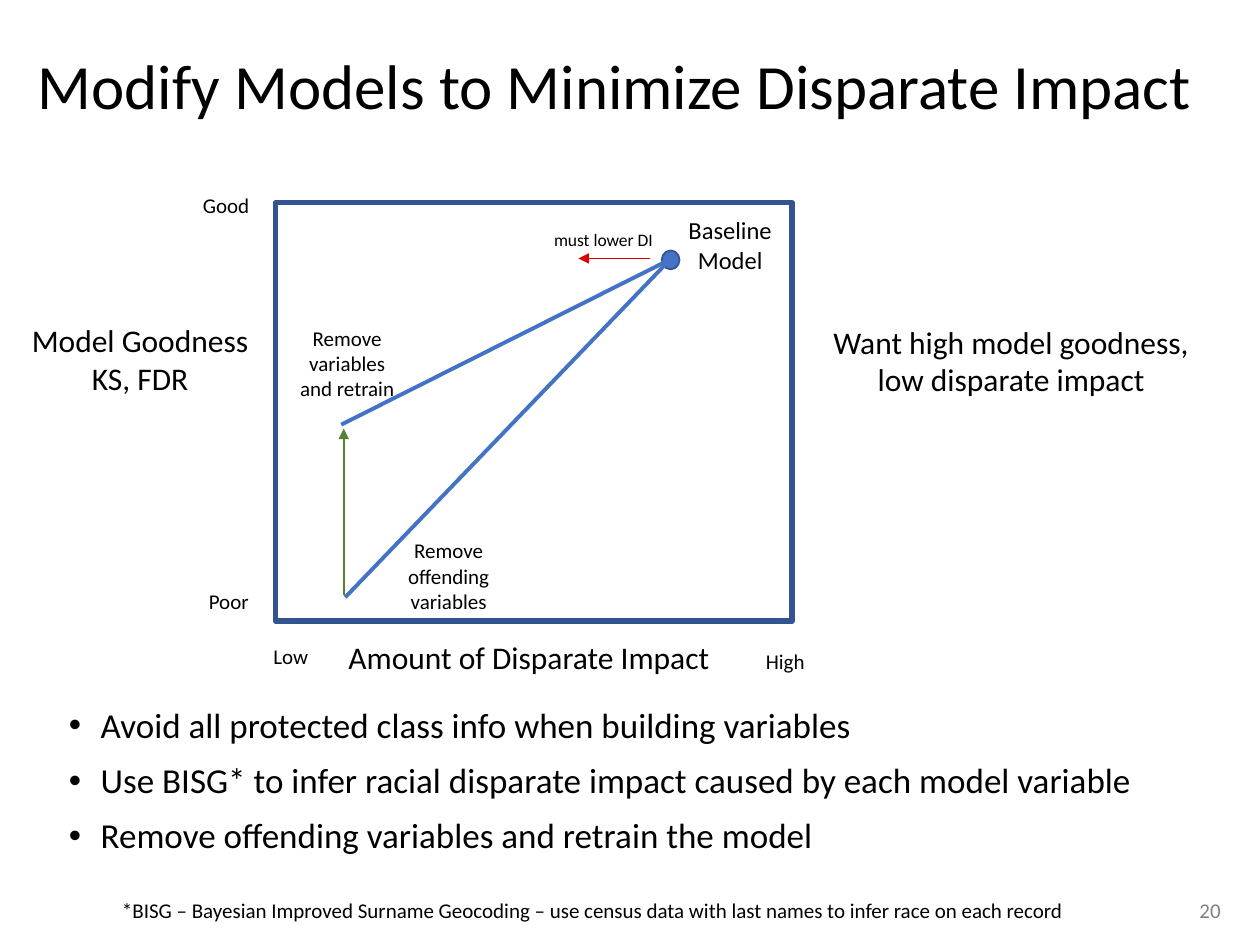
from dataclasses import dataclass

from lxml.etree import SubElement
from pptx import Presentation
from pptx.dml.color import RGBColor
from pptx.enum.shapes import MSO_CONNECTOR, MSO_SHAPE
from pptx.enum.text import MSO_ANCHOR, PP_ALIGN
from pptx.oxml.ns import qn
from pptx.util import Cm, Pt


@dataclass(frozen=True)
class Theme:
    font: str = "Calibri"
    text: str = "000000"
    muted: str = "808080"
    frame: str = "325491"
    model: str = "4472C4"
    lower: str = "DD0002"
    improve: str = "548235"
    title: int = 36
    bullet: int = 20
    axis: int = 18
    baseline: int = 14
    label: int = 12
    small: int = 10


THEME = Theme()


def add_text(slide, box, lines, size, align=PP_ALIGN.LEFT, wrap=True,
             anchor=MSO_ANCHOR.TOP, color=THEME.text):
    """Add a text box with one paragraph per line and return its paragraphs."""
    frame = slide.shapes.add_textbox(*map(Cm, box)).text_frame
    frame.word_wrap = wrap
    frame.vertical_anchor = anchor
    frame.text = "\n".join(lines)
    for paragraph in frame.paragraphs:
        paragraph.alignment = align
        paragraph.font.name = THEME.font
        paragraph.font.size = Pt(size)
        paragraph.font.color.rgb = RGBColor.from_string(color)
    return frame.paragraphs


def add_bullets(slide, box, lines):
    for paragraph in add_text(slide, box, lines, THEME.bullet):
        paragraph.line_spacing = 0.9
        paragraph.space_before = Pt(10)
        properties = paragraph._p.get_or_add_pPr()
        properties.set("marL", str(Cm(0.64)))
        properties.set("indent", str(-Cm(0.64)))
        SubElement(properties, qn("a:buFont"), typeface="Arial")
        SubElement(properties, qn("a:buChar"), char="•")


def add_outline(slide, kind, box, width, fill=None):
    shape = slide.shapes.add_shape(kind, *map(Cm, box))
    shape.shadow.inherit = False
    if fill:
        shape.fill.solid()
        shape.fill.fore_color.rgb = RGBColor.from_string(fill)
    else:
        shape.fill.background()
    shape.line.color.rgb = RGBColor.from_string(THEME.frame)
    shape.line.width = Pt(width)


def add_line(slide, start, end, color, width, arrow=False):
    line = slide.shapes.add_connector(
        MSO_CONNECTOR.STRAIGHT, *map(Cm, start + end))
    line.line.color.rgb = RGBColor.from_string(color)
    line.line.width = Pt(width)
    if arrow:
        SubElement(line.line._get_or_add_ln(), qn("a:tailEnd"), type="triangle")
    SubElement(line._element.spPr, qn("a:effectLst"))


def add_diagram(slide):
    # Plot frame and the two routes away from the baseline model
    baseline = (13.51, 5.23)
    add_outline(slide, MSO_SHAPE.RECTANGLE, (5.56, 4.09, 10.41, 8.43), 3)
    add_outline(slide, MSO_SHAPE.OVAL, (13.34, 5.05, 0.36, 0.38), 1, THEME.model)
    for outcome in ((6.96, 12.04), (6.88, 8.56)):
        add_line(slide, baseline, outcome, THEME.model, 2.25)

    # Direction arrows
    add_line(slide, (13.11, 5.21), (11.66, 5.21), THEME.lower, 0.5, arrow=True)
    add_line(slide, (6.93, 11.99), (6.93, 8.64), THEME.improve, 1, arrow=True)

    # Centred notes that wrap inside their boxes
    for box, lines, size in (
        ((13.26, 4.22, 2.92, 1.45), ["Baseline Model"], THEME.baseline),
        ((7.85, 10.72, 2.39, 1.8), ["Remove offending variables"], THEME.label),
        ((5.54, 6.43, 2.92, 1.8), ["Remove variables", "and retrain"], THEME.label),
        ((15.98, 6.38, 8.81, 1.8),
         ["Want high model goodness,", "low disparate impact"], THEME.axis),
    ):
        add_text(slide, box, lines, size, PP_ALIGN.CENTER)

    # Axis titles
    for box, lines in (
        ((0.36, 6.35, 4.93, 1.8), ["Model Goodness", "KS, FDR"]),
        ((6.73, 12.73, 7.87, 1.02), ["Amount of Disparate Impact"]),
    ):
        add_text(slide, box, lines, THEME.axis, PP_ALIGN.CENTER, wrap=False)

    # Axis ends and arrow label
    for box, label, size in (
        ((3.84, 3.76, 1.47, 0.76), "Good", THEME.label),
        ((3.96, 11.73, 1.32, 0.76), "Poor", THEME.label),
        ((5.26, 12.85, 1.22, 0.76), "Low", THEME.label),
        ((15.19, 12.95, 1.3, 0.76), "High", THEME.label),
        ((10.92, 4.5, 2.54, 0.69), "must lower DI", THEME.small),
    ):
        add_text(slide, box, [label], size, wrap=False)


def main():
    deck = Presentation()
    deck.slide_width, deck.slide_height = Cm(25.4), Cm(19.05)
    slide = deck.slides.add_slide(deck.slide_layouts[6])

    # Title
    title = add_text(slide, (0.51, 0.2, 24.05, 3.18),
                     ["Modify Models to Minimize Disparate Impact"],
                     THEME.title, anchor=MSO_ANCHOR.MIDDLE)
    title[0].line_spacing = 0.9

    add_diagram(slide)

    # Advice
    add_bullets(slide, (1.14, 14.15, 22.45, 4.04), [
        "Avoid all protected class info when building variables",
        "Use BISG* to infer racial disparate impact caused by each model variable",
        "Remove offending variables and retrain the model",
    ])

    # Footnote and page number
    add_text(slide, (2.21, 17.96, 19.84, 0.76),
             ["*BISG – Bayesian Improved Surname Geocoding – use census data "
              "with last names to infer race on each record"], THEME.label)
    add_text(slide, (23.39, 17.83, 2.01, 1.02), ["20"], THEME.label,
             PP_ALIGN.CENTER, anchor=MSO_ANCHOR.MIDDLE, color=THEME.muted)

    deck.save("out.pptx")


if __name__ == "__main__":
    main()
